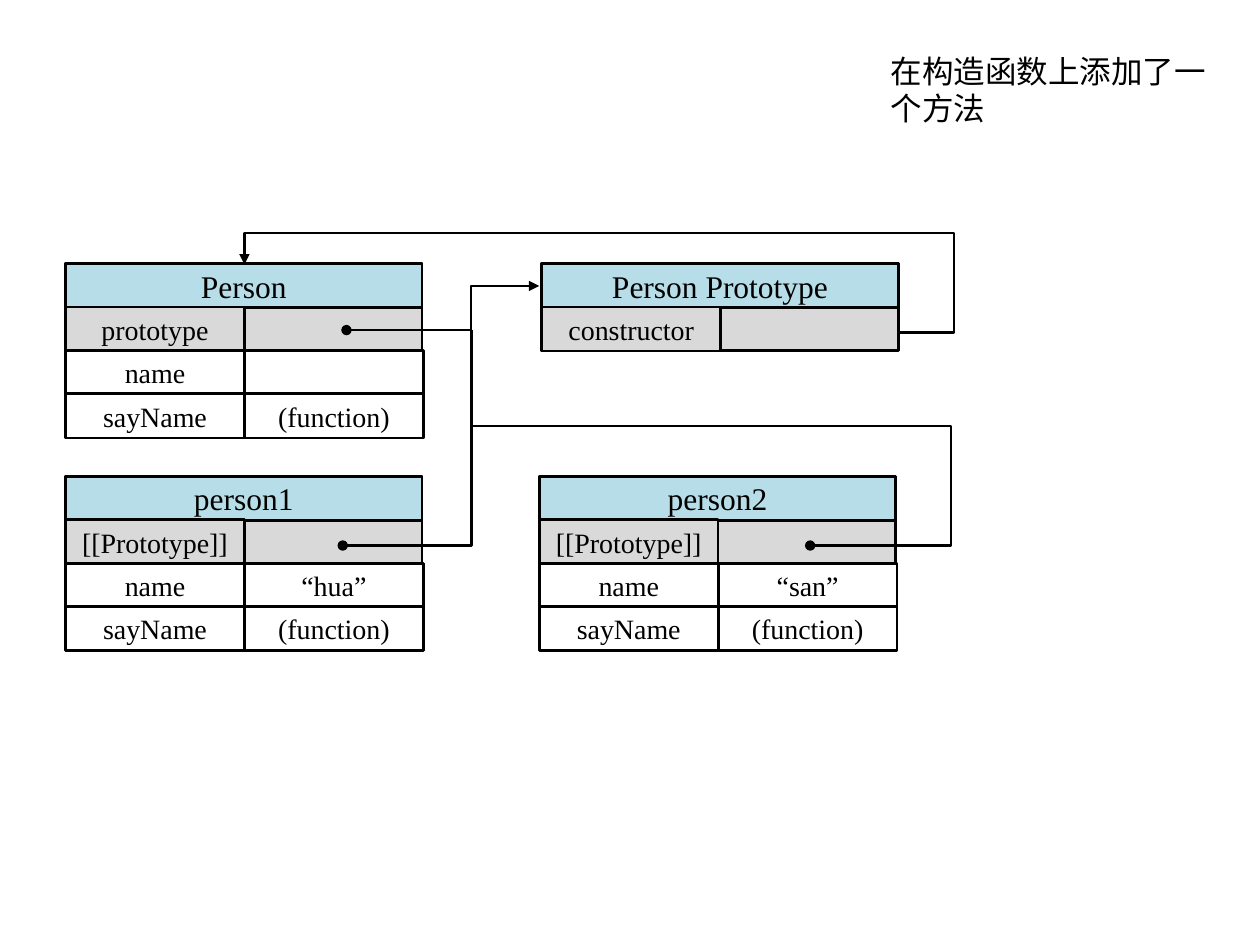
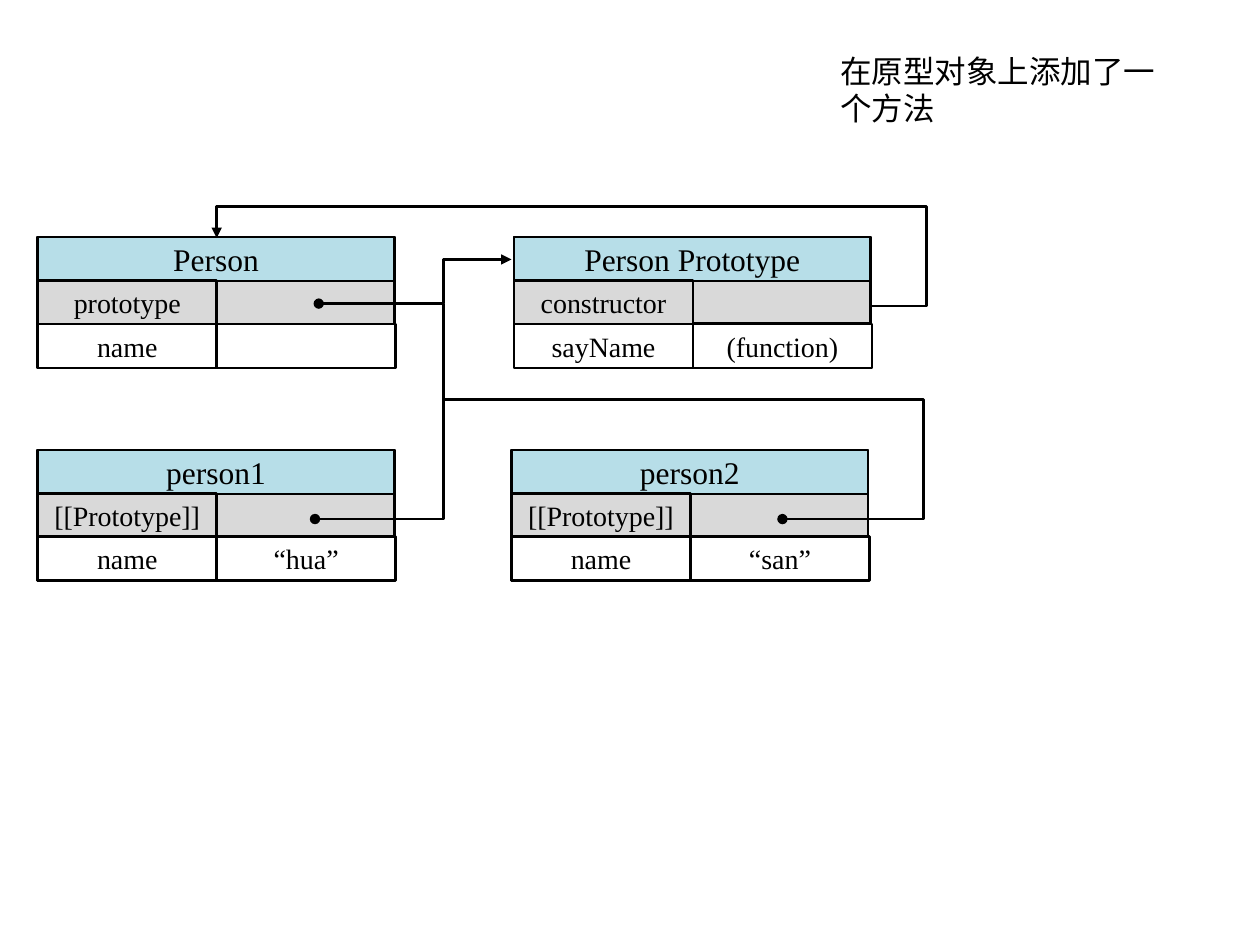
from pptx import Presentation
from pptx.dml.color import RGBColor
from pptx.enum.shapes import MSO_CONNECTOR as Connector, MSO_SHAPE as Shape
from pptx.enum.text import MSO_ANCHOR as Anchor, MSO_AUTO_SIZE as AutoSize, PP_ALIGN as Align
from pptx.oxml.ns import qn
from pptx.util import Inches, Pt
from lxml import etree

COLORS = {"ink": "000000", "header": "B7DEE8", "link": "D9D9D9", "plain": "FFFFFF"}
CARD_WIDTH, CELL_WIDTH = 2.83, 1.42
ROW_HEIGHT, ROW_STEP = 0.35, 0.345


class Diagram:
    """Holds the style, the current slide and the origin of its drawing."""

    body_font, note_font = "Times New Roman", "Calibri"
    title_size, row_size, line_width = 18, 16, 1.5

    def __init__(self, presentation, origin):
        self.slide = presentation.slides.add_slide(presentation.slide_layouts[6])
        self.group = self.slide.shapes.add_group_shape()
        self.origin = origin

    def place(self, x, y):
        return Inches(self.origin[0] + x), Inches(self.origin[1] + y)

    def color(self, name):
        return RGBColor.from_string(COLORS[name])

    def format_text(self, text_frame, text, size, font):
        text_frame.text = text
        text_frame.word_wrap = True
        for run in text_frame.paragraphs[0].runs:
            run.font.size = Pt(size)
            run.font.name = font
            run.font.color.rgb = self.color("ink")

    def style_line(self, line):
        line.color.rgb = self.color("ink")
        line.width = Pt(self.line_width)

    def note(self, left, text):
        box = self.slide.shapes.add_textbox(
            Inches(left), Inches(0.36), Inches(2.91), Inches(0.71))
        self.format_text(box.text_frame, text, self.title_size, self.note_font)
        box.text_frame.auto_size = AutoSize.SHAPE_TO_FIT_TEXT

    def cell(self, x, y, width, height, fill, text="", size=row_size):
        shape = self.group.shapes.add_shape(
            Shape.RECTANGLE, *self.place(x, y), Inches(width), Inches(height))
        shape.shadow.inherit = False
        shape.fill.solid()
        shape.fill.fore_color.rgb = self.color(fill)
        self.style_line(shape.line)
        if text:
            self.format_text(shape.text_frame, text, size, self.body_font)
            shape.text_frame.vertical_anchor = Anchor.MIDDLE
            shape.text_frame.paragraphs[0].alignment = Align.CENTER

    def card(self, x, y, title, link, rows, base_rows=3):
        """An object: title, a link whose value is the grey base, then rows."""
        self.cell(x, y, CARD_WIDTH, base_rows * ROW_STEP, "link")
        self.cell(x, y, CARD_WIDTH, ROW_HEIGHT, "header", title, self.title_size)
        self.cell(x, y + ROW_STEP, CELL_WIDTH, ROW_HEIGHT, "link", link)
        for index, row in enumerate(rows, start=2):
            for column, text in enumerate(row):
                self.cell(x + column * CELL_WIDTH, y + index * ROW_STEP,
                          CELL_WIDTH, ROW_HEIGHT, "plain", text)

    def elbow(self, start, end, bend_x, bend_y=None, arrow=True):
        """A bent line that turns at bend_x and, if given, again at bend_y."""
        connector = self.group.shapes.add_connector(
            Connector.ELBOW, *self.place(*start), *self.place(*end))
        self.style_line(connector.line)
        properties = connector._element.spPr

        # Bends, as shares of the way from start to end
        bends = [(bend_x - start[0]) / (end[0] - start[0])]
        if bend_y is not None:
            bends.append((bend_y - start[1]) / (end[1] - start[1]))
        geometry = properties.find(qn("a:prstGeom"))
        geometry.set("prst", f"bentConnector{len(bends) + 2}")
        adjustments = geometry.find(qn("a:avLst"))
        for number, bend in enumerate(bends, start=1):
            etree.SubElement(adjustments, qn("a:gd"), name=f"adj{number}",
                             fmla=f"val {round(bend * 100000)}")

        # Line ends, and no shadow
        line = properties.find(qn("a:ln"))
        etree.SubElement(line, qn("a:headEnd"), type="oval")
        if arrow:
            etree.SubElement(line, qn("a:tailEnd"), type="triangle")
        etree.SubElement(properties, qn("a:effectLst"))


def draw_objects(diagram, constructor_rows, prototype_rows, instance_rows):
    trunk_x = 3.22
    lower_y = 1.69

    # Constructor, with its links to and from the prototype
    diagram.card(0, 0, "Person", "prototype", [("name", "")] + constructor_rows)
    diagram.elbow((2.23, 0.53), (3.76, 0.18), trunk_x)
    diagram.elbow((5.9, 0.55), (1.42, 0.01), 7.05, bend_y=-0.24)

    # First instance
    diagram.card(0, lower_y, "person1", "[[Prototype]]",
                 [("name", "“hua”")] + instance_rows)
    diagram.elbow((2.2, 2.24), (trunk_x, 0.53), trunk_x, arrow=False)

    # Prototype and second instance
    diagram.card(3.78, 0, "Person Prototype", "constructor", prototype_rows, base_rows=2)
    diagram.card(3.76, lower_y, "person2", "[[Prototype]]",
                 [("name", "“san”")] + instance_rows)
    diagram.elbow((5.91, 2.24), (trunk_x, 1.29), 7.03, arrow=False)


presentation = Presentation()
presentation.slide_width, presentation.slide_height = Inches(10), Inches(7.5)
method = [("sayName", "(function)")]

# Slide 1: the method sits on the constructor and on each instance
diagram = Diagram(presentation, origin=(0.52, 2.09))
diagram.note(6.97, "在构造函数上添加了一个方法")
draw_objects(diagram, method, [], method)

# Slide 2: the method sits on the prototype
diagram = Diagram(presentation, origin=(0.3, 1.88))
diagram.note(6.57, "在原型对象上添加了一个方法")
draw_objects(diagram, [], method, [])

presentation.save("out.pptx")
